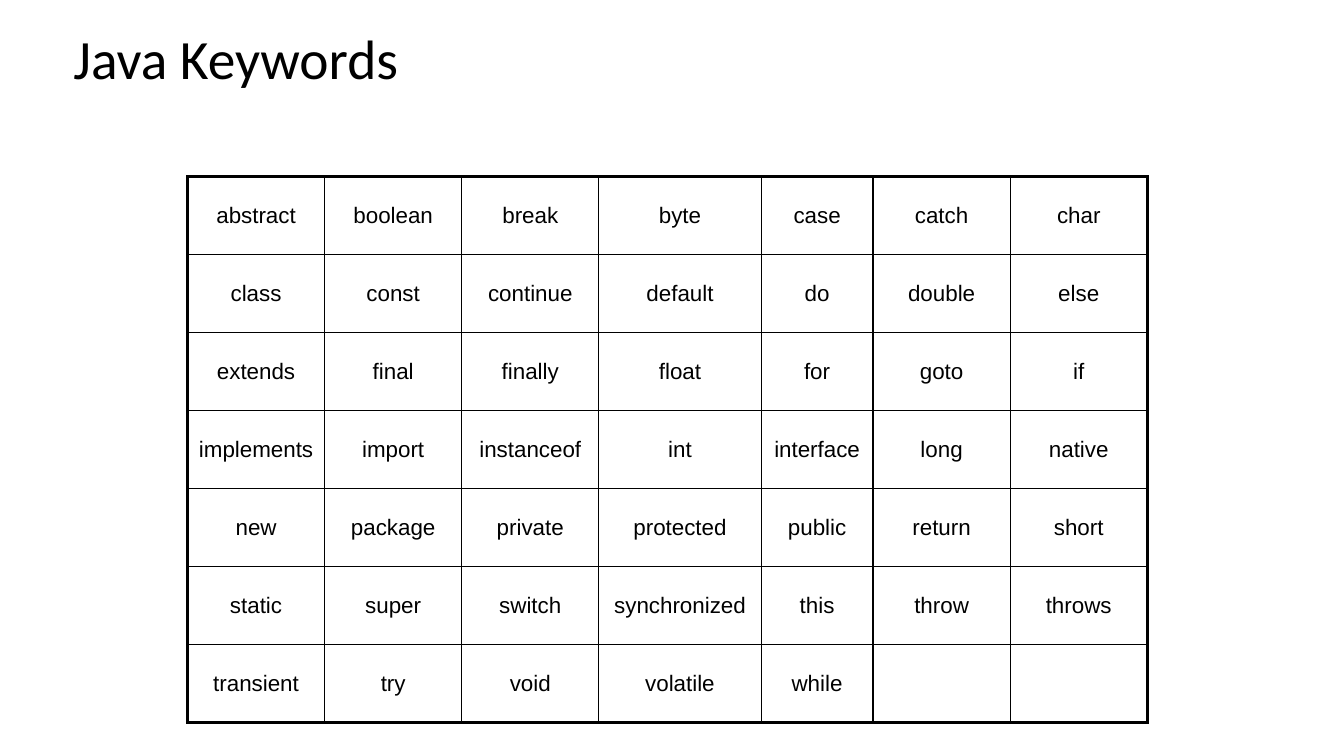
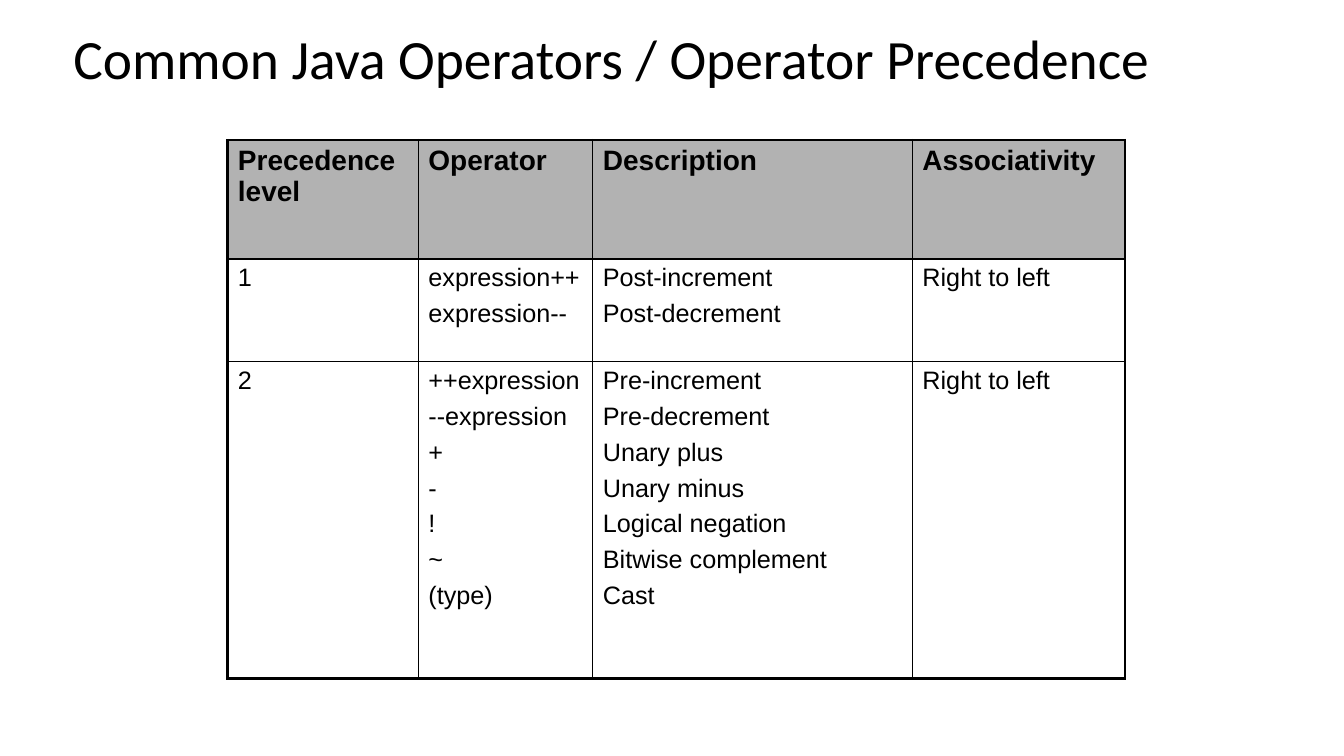
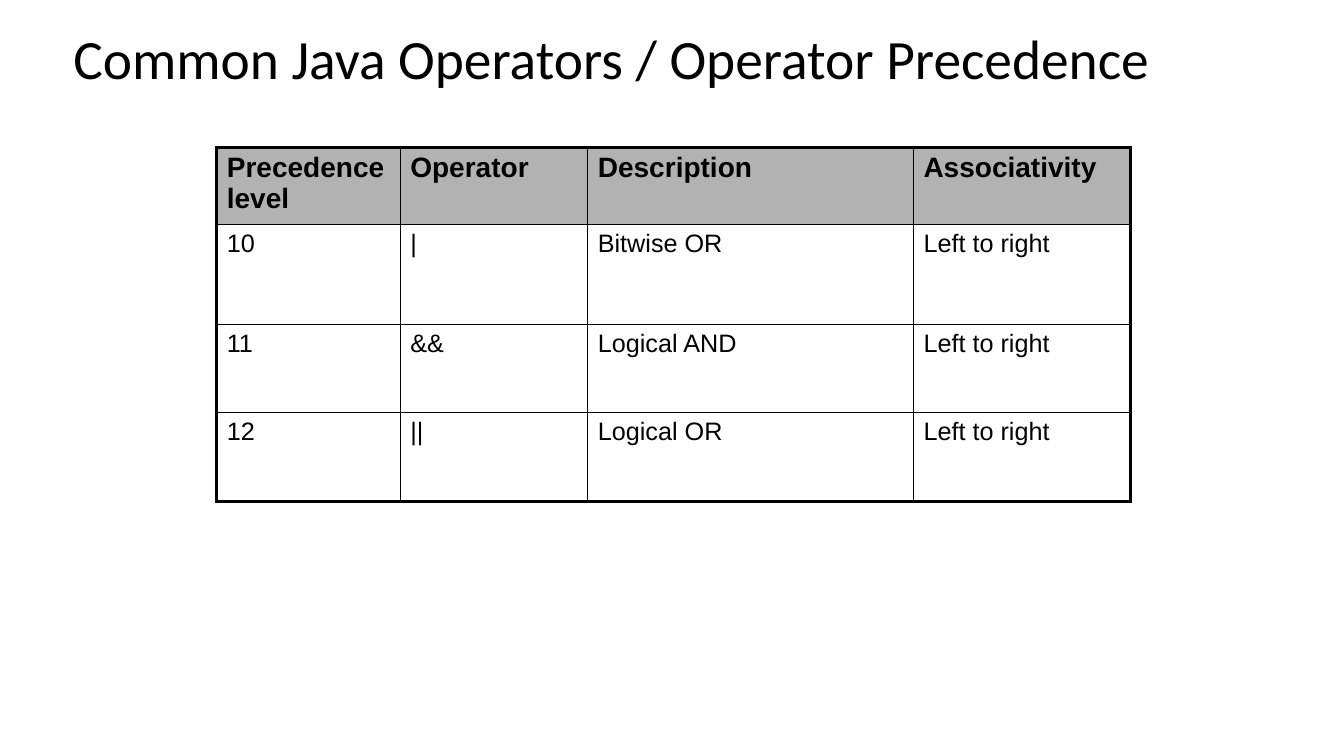
from lxml.etree import SubElement
from pptx import Presentation
from pptx.dml.color import RGBColor
from pptx.enum.text import MSO_ANCHOR, PP_ALIGN
from pptx.oxml.ns import qn
from pptx.util import Inches, Pt

BLACK = "000000"
GREY = "B2B2B2"
THICK, THIN = 2.25, 1
TITLE_BOX = (0.63, 0.33, 11.91, 0.57)
TITLE_FONT = {"name": "Calibri", "size": Pt(39.6)}
HEAD_FONT = {"name": "Arial", "size": Pt(20), "bold": True}
BODY_FONT = {"name": "Arial", "size": Pt(18), "bold": False}
KEYWORD_FONT = {"name": "Arial", "size": Pt(16), "bold": False}

KEYWORDS = [
    "abstract boolean break byte case catch char",
    "class const continue default do double else",
    "extends final finally float for goto if",
    "implements import instanceof int interface long native",
    "new package private protected public return short",
    "static super switch synchronized this throw throws",
    "transient try void volatile while",
]
HEADINGS = ["Precedence level", "Operator", "Description", "Associativity"]
UNARY_LEVELS = [
    ["1", "expression++\nexpression--", "Post-increment\nPost-decrement", "Right to left"],
    ["2", "++expression\n--expression\n+\n-\n!\n~\n(type)",
     "Pre-increment\nPre-decrement\nUnary plus\nUnary minus\n"
     "Logical negation\nBitwise complement\nCast", "Right to left"],
]
LOGICAL_LEVELS = [
    ["10", "|", "Bitwise OR", "Left to right"],
    ["11", "&&", "Logical AND", "Left to right"],
    ["12", "||", "Logical OR", "Left to right"],
]


def color(value):
    return RGBColor.from_string(value)


def write(p, text, font):
    r = p.add_run()
    r.text = text
    for name, value in font.items():
        setattr(r.font, name, value)
    r.font.color.rgb = color(BLACK)


def add_slide(prs, title):
    s = prs.slides.add_slide(prs.slide_layouts[6])
    tf = s.shapes.add_textbox(*map(Inches, TITLE_BOX)).text_frame
    tf.word_wrap = True
    tf.vertical_anchor = MSO_ANCHOR.MIDDLE
    p = tf.paragraphs[0]
    p.line_spacing = 0.9
    write(p, title, TITLE_FONT)
    return s


def set_borders(cell, widths):
    tcPr = cell._tc.get_or_add_tcPr()
    for i, (side, width) in enumerate(widths.items()):
        ln = SubElement(tcPr, qn(f"a:ln{side}"), w=str(Pt(width)))
        fill = SubElement(ln, qn("a:solidFill"))
        SubElement(fill, qn("a:srgbClr"), val=BLACK)
        tcPr.insert(i, ln)


def fill_cell(cell, text, font, align, anchor):
    cell.vertical_anchor = anchor
    tf = cell.text_frame
    for i, line in enumerate(text.split("\n") if text else []):
        p = tf.add_paragraph() if i else tf.paragraphs[0]
        p.alignment = align
        if i:
            p.space_before = Pt(5.4)
        write(p, line, font)


def add_grid(s, left, top, widths, heights, rows, font, head=False,
             align=PP_ALIGN.LEFT, anchor=MSO_ANCHOR.TOP):
    box = map(Inches, (left, top, sum(widths), sum(heights)))
    table = s.shapes.add_table(len(heights), len(widths), *box).table
    table.first_row = table.horz_banding = False
    for column, width in zip(table.columns, widths):
        column.width = Inches(width)
    last_row, last_col = len(heights) - 1, len(widths) - 1
    for i, (texts, height) in enumerate(zip(rows, heights)):
        table.rows[i].height = Inches(height)
        is_head = head and i == 0
        for j in range(len(widths)):
            cell = table.cell(i, j)
            if is_head:
                cell.fill.solid()
                cell.fill.fore_color.rgb = color(GREY)
            else:
                cell.fill.background()
            text = texts[j] if j < len(texts) else ""
            fill_cell(cell, text, HEAD_FONT if is_head else font, align, anchor)
            outer = {"L": j == 0, "R": j == last_col, "T": i == 0, "B": i == last_row}
            set_borders(cell, {k: THICK if v else THIN for k, v in outer.items()})


def keywords_slide(prs):
    s = add_slide(prs, "Java Keywords")
    rows = [line.split() for line in KEYWORDS]
    add_grid(s, 1.86, 1.75, [1.36, 1.36, 1.36, 1.61, 1.11, 1.36, 1.36],
             [5.42 / len(rows)] * len(rows), rows, KEYWORD_FONT,
             align=PP_ALIGN.CENTER, anchor=MSO_ANCHOR.MIDDLE)


def operators_slide(prs, left, top, widths, heights, levels):
    s = add_slide(prs, "Common Java Operators / Operator Precedence")
    add_grid(s, left, top, widths, heights, [HEADINGS, *levels], BODY_FONT, head=True)


def main():
    prs = Presentation()
    prs.slide_width, prs.slide_height = Inches(13.33), Inches(7.5)
    keywords_slide(prs)
    operators_slide(prs, 2.26, 1.39, [1.89, 1.73, 3.17, 2.11],
                    [1.18, 1.02, 3.14], UNARY_LEVELS)
    operators_slide(prs, 2.15, 1.46, [1.82, 1.86, 3.23, 2.15],
                    [0.77, 0.99, 0.87, 0.89], LOGICAL_LEVELS)
    prs.save("out.pptx")


if __name__ == "__main__":
    main()
